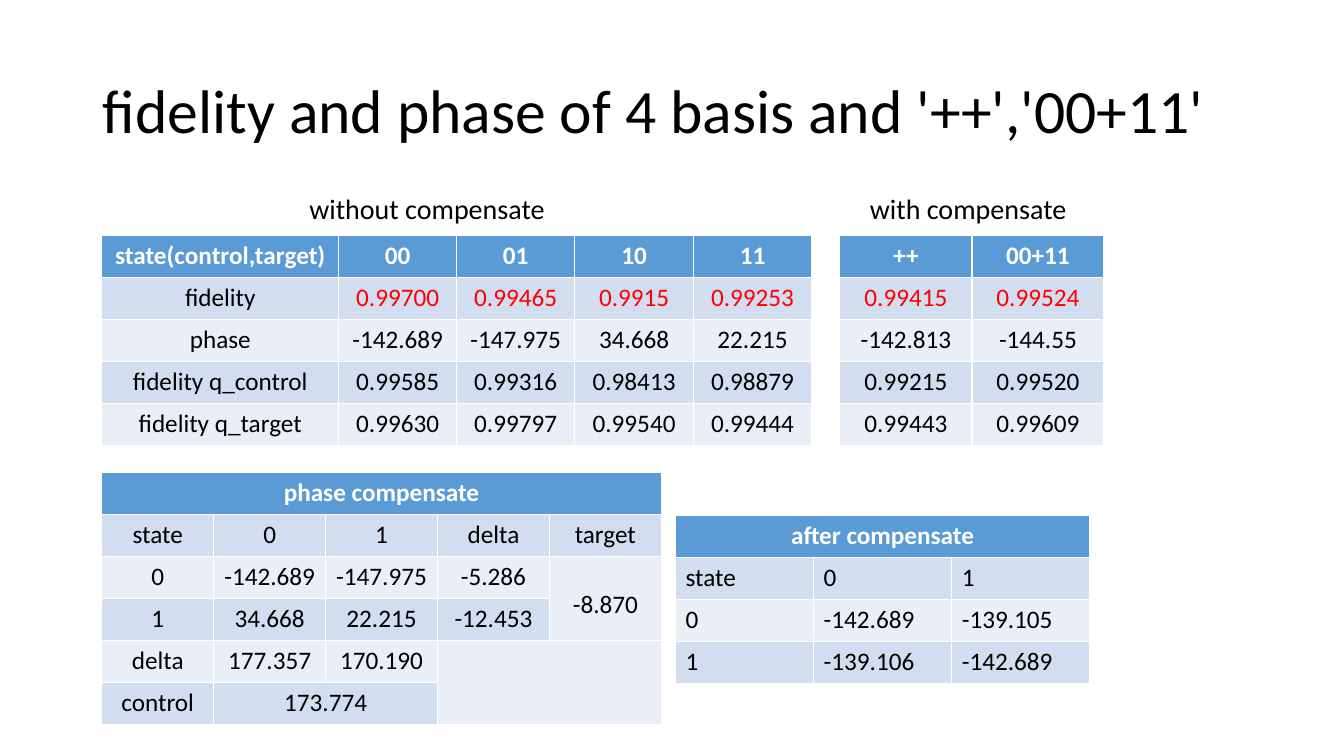
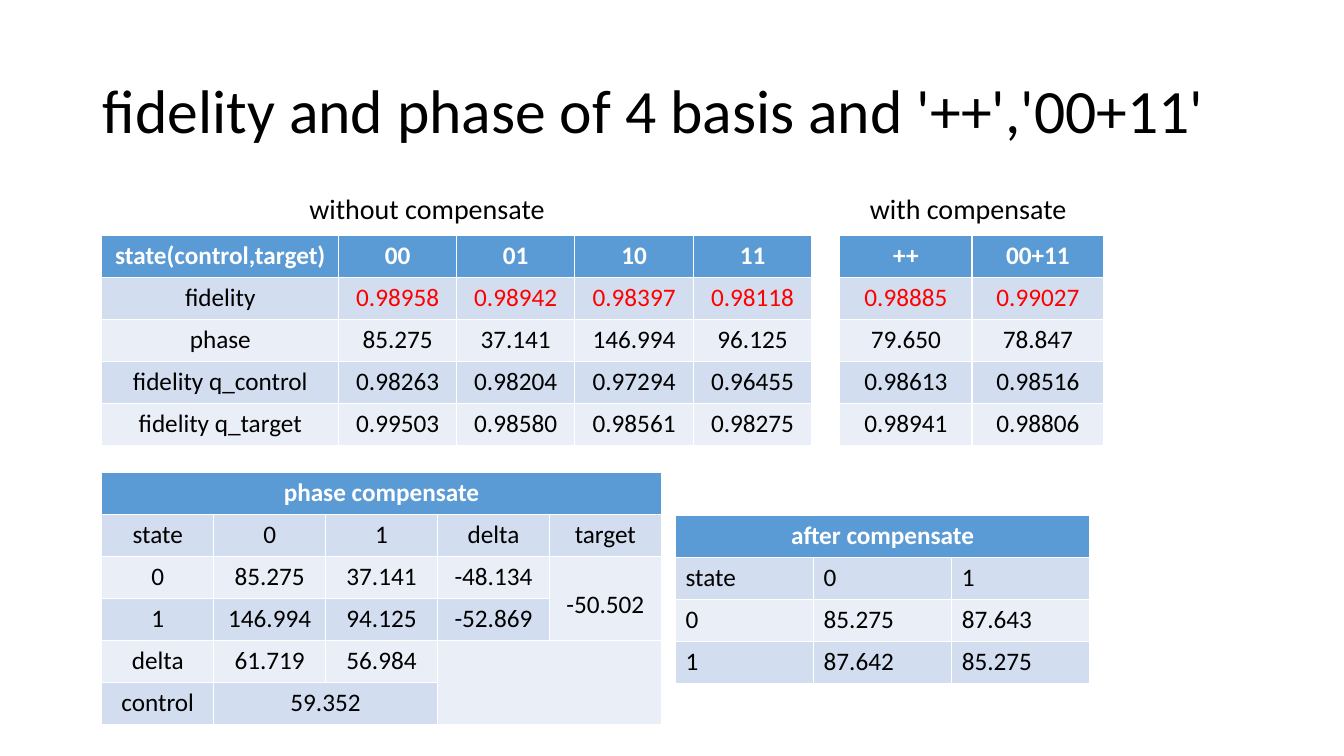
import pptx
import pptx.dml.color
import pptx.enum.text
import pptx.util

PX = 9144  # EMU in one px, 100 px to the inch
FONT = "Calibri"
WHITE, BLACK, RED = "FFFFFF", "000000", "FF0000"
HEAD, BANDS = "5B9BD5", ("EAEFF7", "D2DEEF")
ALIGN = pptx.enum.text.PP_ALIGN
MIDDLE = pptx.enum.text.MSO_ANCHOR.MIDDLE

TITLE = "fidelity and phase of 4 basis and '++','00+11'"
LABELS = [("without compensate", 297), ("with compensate", 853)]

# merges: first row, first column, last row, last column
# red: first column of row 1 that is red; loose: the cell with wide line spacing
TABLES = {
    "basis": dict(left=101, top=234, height=208, cols=[235, 117, 117, 118, 117], red=1),
    "phase": dict(left=101, top=469, height=250, cols=[111] * 5, loose=(2, 4),
                  merges=[(0, 0, 0, 4), (2, 4, 3, 4), (4, 3, 5, 4), (5, 1, 5, 2)]),
    "after": dict(left=670, top=511, height=167, cols=[137] * 3, align=ALIGN.LEFT,
                  merges=[(0, 0, 0, 2)]),
    "plus": dict(left=833, top=234, height=208, cols=[131] * 2, red=0),
}

SLIDES = [
    {
        "basis": [
            ["state(control,target)", "00", "01", "10", "11"],
            ["fidelity", "0.99700", "0.99465", "0.9915", "0.99253"],
            ["phase", "-142.689", "-147.975", "34.668", "22.215"],
            ["fidelity q_control", "0.99585", "0.99316", "0.98413", "0.98879"],
            ["fidelity q_target", "0.99630", "0.99797", "0.99540", "0.99444"],
        ],
        "phase": [
            ["phase compensate", "", "", "", ""],
            ["state", "0", "1", "delta", "target"],
            ["0", "-142.689", "-147.975", "-5.286", "-8.870"],
            ["1", "34.668", "22.215", "-12.453", ""],
            ["delta", "177.357", "170.190", "", ""],
            ["control", "173.774", "", "", ""],
        ],
        "after": [
            ["after compensate", "", ""],
            ["state", "0", "1"],
            ["0", "-142.689", "-139.105"],
            ["1", "-139.106", "-142.689"],
        ],
        "plus": [
            ["++", "00+11"],
            ["0.99415", "0.99524"],
            ["-142.813", "-144.55"],
            ["0.99215", "0.99520"],
            ["0.99443", "0.99609"],
        ],
    },
    {
        "basis": [
            ["state(control,target)", "00", "01", "10", "11"],
            ["fidelity", "0.98958", "0.98942", "0.98397", "0.98118"],
            ["phase", "85.275", "37.141", "146.994", "96.125"],
            ["fidelity q_control", "0.98263", "0.98204", "0.97294", "0.96455"],
            ["fidelity q_target", "0.99503", "0.98580", "0.98561", "0.98275"],
        ],
        "phase": [
            ["phase compensate", "", "", "", ""],
            ["state", "0", "1", "delta", "target"],
            ["0", "85.275", "37.141", "-48.134", "-50.502"],
            ["1", "146.994", "94.125", "-52.869", ""],
            ["delta", "61.719", "56.984", "", ""],
            ["control", "59.352", "", "", ""],
        ],
        "after": [
            ["after compensate", "", ""],
            ["state", "0", "1"],
            ["0", "85.275", "87.643"],
            ["1", "87.642", "85.275"],
        ],
        "plus": [
            ["++", "00+11"],
            ["0.98885", "0.99027"],
            ["79.650", "78.847"],
            ["0.98613", "0.98516"],
            ["0.98941", "0.98806"],
        ],
    },
]


def px(*sizes):
    return [pptx.util.Emu(round(size * PX)) for size in sizes]


def rgb(code):
    return pptx.dml.color.RGBColor.from_string(code)


def write(frame, text, size, color=BLACK, bold=False, align=ALIGN.LEFT, space=None):
    para = frame.paragraphs[0]
    para.alignment = align
    para.line_spacing = space
    run = para.add_run()
    run.text = text
    run.font.name = FONT
    run.font.size = pptx.util.Pt(size)
    run.font.bold = bold
    run.font.color.rgb = rgb(color)


def add_title(slide):
    title = slide.shapes.title
    title.left, title.top, title.width, title.height = px(92, 40, 1150, 145)
    frame = title.text_frame
    frame.auto_size = pptx.enum.text.MSO_AUTO_SIZE.NONE
    frame.vertical_anchor = MIDDLE
    write(frame, TITLE, 44, space=0.9)


def add_label(slide, text, left):
    frame = slide.shapes.add_textbox(*px(left, 185, 269, 44)).text_frame
    frame.word_wrap = True
    write(frame, text, 20)


def add_grid(slide, rows, left, top, height, cols, merges=(), red=None,
             loose=None, align=ALIGN.CENTER):
    box = px(left, top, sum(cols), height)
    grid = slide.shapes.add_table(len(rows), len(cols), *box).table
    for col, width in zip(grid.columns, px(*cols)):
        col.width = width
    for row in grid.rows:
        row.height = px(height / len(rows))[0]
    for r1, c1, r2, c2 in merges:
        grid.cell(r1, c1).merge(grid.cell(r2, c2))
    for r, row in enumerate(rows):
        for c, text in enumerate(row):
            cell = grid.cell(r, c)
            cell.fill.solid()
            cell.fill.fore_color.rgb = rgb(BANDS[r % 2] if r else HEAD)
            if not text:
                continue
            color = BLACK if r else WHITE
            if r == 1 and red is not None and c >= red:
                color = RED
            write(cell.text_frame, text, 18, color, bold=r == 0,
                  align=align if r else ALIGN.CENTER,
                  space=1.9 if (r, c) == loose else None)


def main():
    deck = pptx.Presentation()
    deck.slide_width, deck.slide_height = px(1333, 750)
    for data in SLIDES:
        slide = deck.slides.add_slide(deck.slide_layouts[5])
        add_title(slide)
        for name, style in TABLES.items():
            add_grid(slide, data[name], **style)
        for text, left in LABELS:
            add_label(slide, text, left)
    deck.save("out.pptx")


if __name__ == "__main__":
    main()
